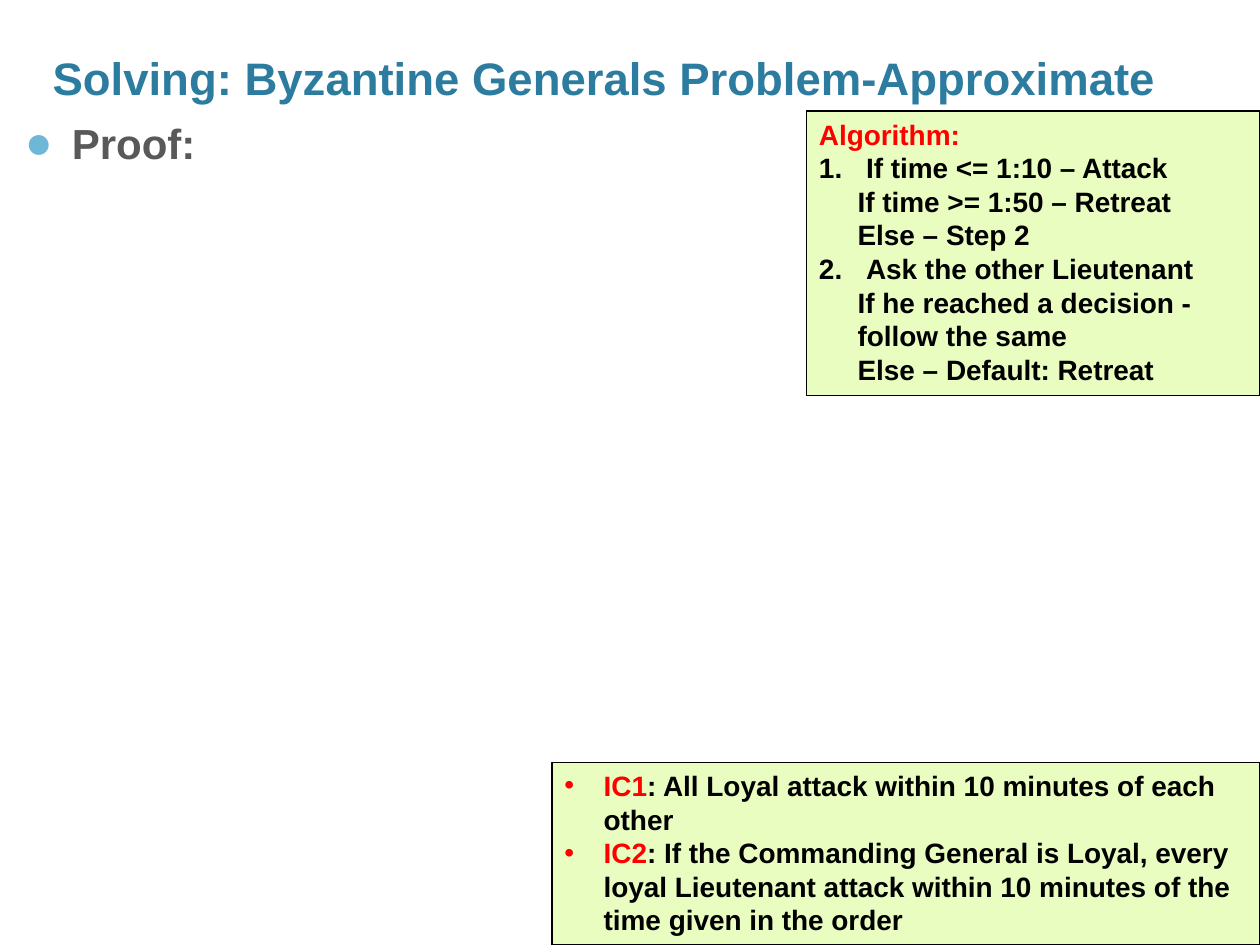
from lxml.etree import SubElement
from pptx import Presentation
from pptx.dml.color import RGBColor
from pptx.enum.shapes import MSO_SHAPE as Shape
from pptx.enum.text import MSO_ANCHOR as Anchor, PP_ALIGN as Align
from pptx.oxml.ns import qn
from pptx.util import Cm, Pt

# Content: each paragraph is (runs, format), each run is (text, colour)
TITLE = [([("Solving: Byzantine Generals Problem-Approximate", "title")], {})]
PROOF = [([("Proof:", "body")],
          dict(bullet="●", indent=0.95, hang=0.95, bullet_color="bullet", bullet_size=110))]

NUMBERED = dict(indent=0.95, hang=0.95)
DETAIL = dict(indent=0.78)
ALGORITHM = [([("Algorithm:", "accent")], {})]
STEPS = [
    ["If time <= 1:10 – Attack", "If time >= 1:50 – Retreat", "Else – Step 2"],
    ["Ask the other Lieutenant", "If he reached a decision -", "follow the same",
     "Else – Default: Retreat"],
]
for number, (step, *details) in enumerate(STEPS, 1):
    ALGORITHM.append(([(step, "ink")], dict(NUMBERED, number=number)))
    ALGORITHM += [([(detail, "ink")], DETAIL) for detail in details]

CONDITIONS = [
    ([(label, "accent"), (": " + rule, "ink")], dict(bullet="•", indent=0.79, hang=0.79))
    for label, rule in [
        ("IC1", "All Loyal attack within 10 minutes of each other"),
        ("IC2", "If the Commanding General is Loyal, every loyal Lieutenant "
                "attack within 10 minutes of the time given in the order"),
    ]
]

COLORS = dict(title="2C7C9F", body="595959", bullet="6FB7D7", accent="FF0000",
              ink="000000", panel="EAFDC1")
FONT = "Arial"
SLIDE_W, SLIDE_H = 25.4, 19.05
CONTENT_TOP = 2.24


def color(name):
    return RGBColor.from_string(COLORS[name])


def add_marker(paragraph, bullet=None, number=None, indent=0, hang=0,
               bullet_color=None, bullet_size=None):
    """Indent a paragraph and give it a bullet or a number."""
    props = paragraph._p.get_or_add_pPr()
    props.set("marL", str(Cm(indent)))
    props.set("indent", str(-Cm(hang)))
    if bullet_color:
        fill = SubElement(props, qn("a:buClr"))
        SubElement(fill, qn("a:srgbClr"), val=COLORS[bullet_color])
    if bullet_size:
        SubElement(props, qn("a:buSzPct"), val=str(bullet_size * 1000))
    if bullet:
        SubElement(props, qn("a:buFont"), typeface=FONT)
        SubElement(props, qn("a:buChar"), char=bullet)
    elif number:
        SubElement(props, qn("a:buAutoNum"), type="arabicPeriod", startAt=str(number))
    else:
        SubElement(props, qn("a:buNone"))


def add_text(slide, paragraphs, left, top, width, height, size=16,
             anchor=Anchor.TOP, panel=False):
    """Add bold text, on a bordered panel if wanted."""
    place = [Cm(value) for value in (left, top, width, height)]
    if panel:
        box = slide.shapes.add_shape(Shape.RECTANGLE, *place)
        box.shadow.inherit = False
        box.fill.solid()
        box.fill.fore_color.rgb = color("panel")
        box.line.color.rgb = color("ink")
        box.line.width = Pt(0.75)
    else:
        box = slide.shapes.add_textbox(*place)
    frame = box.text_frame
    frame.word_wrap = True
    frame.vertical_anchor = anchor
    for index, (runs, marker) in enumerate(paragraphs):
        paragraph = frame.add_paragraph() if index else frame.paragraphs[0]
        paragraph.alignment = Align.LEFT
        add_marker(paragraph, **marker)
        for text, ink in runs:
            run = paragraph.add_run()
            run.text = text
            run.font.name = FONT
            run.font.size = Pt(size)
            run.font.bold = True
            run.font.color.rgb = color(ink)


prs = Presentation()
prs.slide_width, prs.slide_height = Cm(SLIDE_W), Cm(SLIDE_H)
slide = prs.slides.add_slide(prs.slide_layouts[6])

# Proof heading and title
add_text(slide, PROOF, 0.25, CONTENT_TOP, 24.82, SLIDE_H - CONTENT_TOP, size=24)
add_text(slide, TITLE, 0.81, 0.3, SLIDE_W - 0.81, CONTENT_TOP - 0.3, size=26,
         anchor=Anchor.BOTTOM)

# Panels flush with the right edge: conditions at the bottom, algorithm at the top
conditions_w, conditions_h = 14.27, 3.68
add_text(slide, CONDITIONS, SLIDE_W - conditions_w, SLIDE_H - conditions_h,
         conditions_w, conditions_h, panel=True)
algorithm_w, algorithm_h = 9.14, 5.74
add_text(slide, ALGORITHM, SLIDE_W - algorithm_w, CONTENT_TOP,
         algorithm_w, algorithm_h, panel=True)

prs.save("out.pptx")
